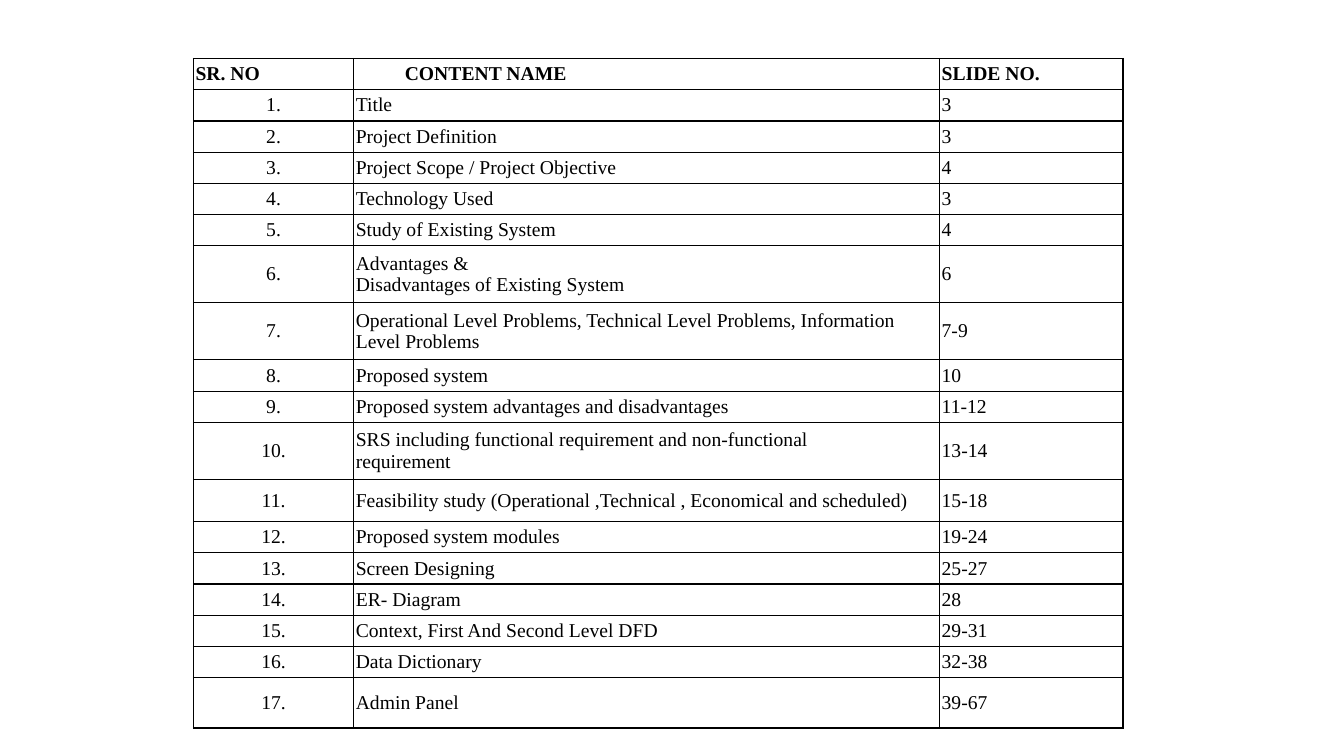
from pptx import Presentation
from pptx.dml.color import RGBColor
from pptx.enum.text import MSO_ANCHOR, PP_ALIGN
from pptx.oxml import parse_xml
from pptx.oxml.ns import nsdecls
from pptx.util import Pt

BLACK = RGBColor(0, 0, 0)
FONT_NAME = "Times New Roman"
COLUMN_WIDTHS = [114.5, 418.5, 131]
ROW_HEIGHT = 22.3
TWO_LINE_HEIGHT = 40.8
HEADER_INDENT = 35
HEADINGS = ["SR. NO", "CONTENT NAME", "SLIDE NO."]
CONTENTS = [
    ("Title", "3", ROW_HEIGHT),
    ("Project Definition", "3", ROW_HEIGHT),
    ("Project Scope / Project Objective", "4", ROW_HEIGHT),
    ("Technology Used", "3", ROW_HEIGHT),
    ("Study of Existing System", "4", ROW_HEIGHT),
    ("Advantages &\nDisadvantages of Existing System", "6", TWO_LINE_HEIGHT),
    ("Operational Level Problems, Technical Level Problems, Information Level Problems",
     "7-9", TWO_LINE_HEIGHT),
    ("Proposed system", "10", ROW_HEIGHT),
    ("Proposed system advantages and disadvantages", "11-12", ROW_HEIGHT),
    ("SRS including functional requirement and non-functional\nrequirement",
     "13-14", TWO_LINE_HEIGHT),
    ("Feasibility study (Operational ,Technical , Economical and scheduled)", "15-18", 30.2),
    ("Proposed system modules", "19-24", ROW_HEIGHT),
    ("Screen Designing", "25-27", ROW_HEIGHT),
    ("ER- Diagram", "28", ROW_HEIGHT),
    ("Context, First And Second Level DFD", "29-31", ROW_HEIGHT),
    ("Data Dictionary", "32-38", ROW_HEIGHT),
    ("Admin Panel", "39-67", 36),
]


def add_borders(cell):
    properties = cell._tc.get_or_add_tcPr()
    for position, side in enumerate(("lnL", "lnR", "lnT", "lnB")):
        properties.insert(position, parse_xml(
            f'<a:{side} {nsdecls("a")} w="{Pt(1)}"><a:solidFill>'
            f'<a:srgbClr val="{BLACK}"/></a:solidFill></a:{side}>'))


def write_cell(cell, text, bold=False, alignment=PP_ALIGN.LEFT):
    cell.fill.background()
    add_borders(cell)
    cell.vertical_anchor = MSO_ANCHOR.MIDDLE
    cell.margin_left = cell.margin_right = Pt(1.5)
    cell.margin_top = cell.margin_bottom = Pt(1.5)
    frame = cell.text_frame
    for index, line in enumerate(text.split("\n")):
        paragraph = frame.add_paragraph() if index else frame.paragraphs[0]
        paragraph.alignment = alignment
        run = paragraph.add_run()
        run.text = line
        run.font.name = FONT_NAME
        run.font.size = Pt(14)
        run.font.bold = bold
        run.font.color.rgb = BLACK


def add_contents_table(slide):
    heights = [ROW_HEIGHT] + [height for _, _, height in CONTENTS]
    table = slide.shapes.add_table(
        len(heights), len(COLUMN_WIDTHS), Pt(138.2), Pt(41.8),
        Pt(sum(COLUMN_WIDTHS)), Pt(sum(heights))).table
    table.first_row = False
    table.horz_banding = False
    for column, width in zip(table.columns, COLUMN_WIDTHS):
        column.width = Pt(width)
    for row, height in zip(table.rows, heights):
        row.height = Pt(height)

    for column, heading in enumerate(HEADINGS):
        write_cell(table.cell(0, column), heading, bold=True)
    name_heading = table.cell(0, 1).text_frame.paragraphs[0]
    name_heading._p.get_or_add_pPr().set("marL", str(Pt(HEADER_INDENT)))

    for number, (name, pages, _) in enumerate(CONTENTS, start=1):
        write_cell(table.cell(number, 0), f"{number}.", alignment=PP_ALIGN.CENTER)
        write_cell(table.cell(number, 1), name)
        write_cell(table.cell(number, 2), pages)


def main():
    presentation = Presentation()
    presentation.slide_width = Pt(960)
    presentation.slide_height = Pt(540)
    slide = presentation.slides.add_slide(presentation.slide_layouts[6])
    add_contents_table(slide)
    presentation.save("out.pptx")


if __name__ == "__main__":
    main()
